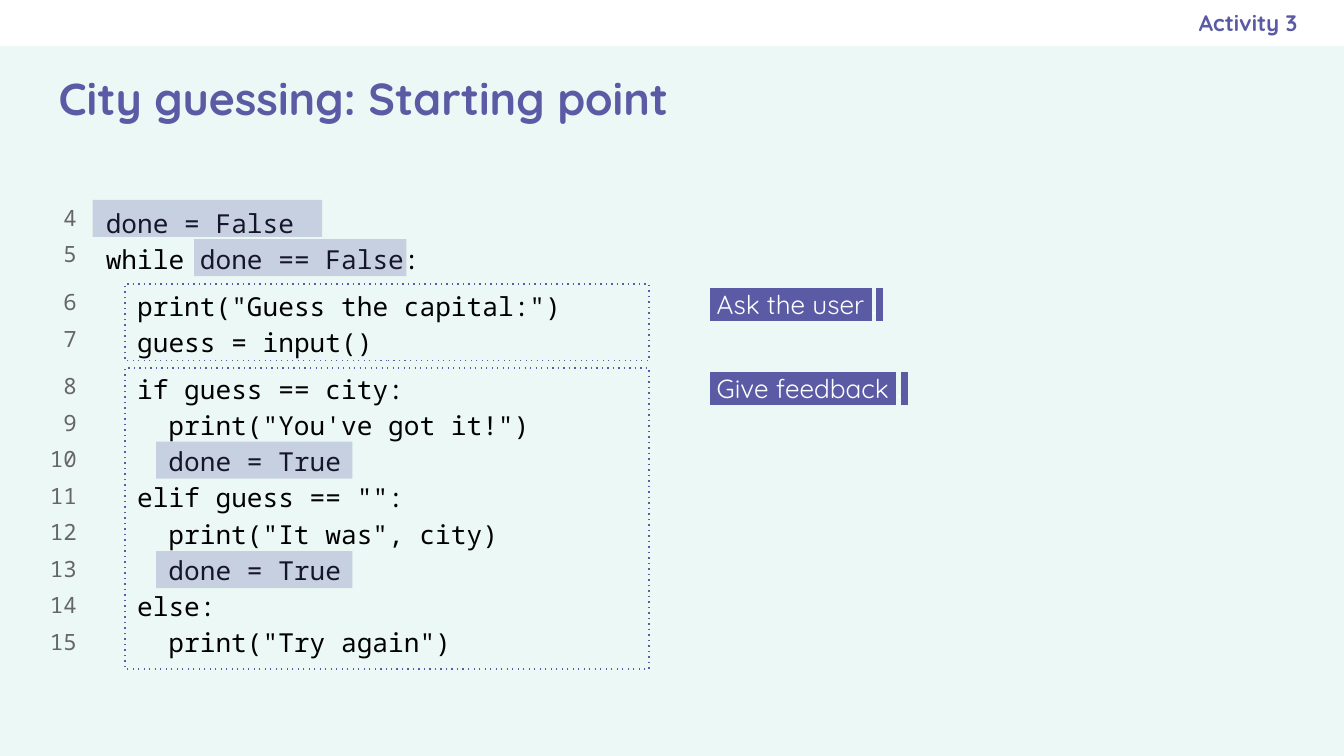
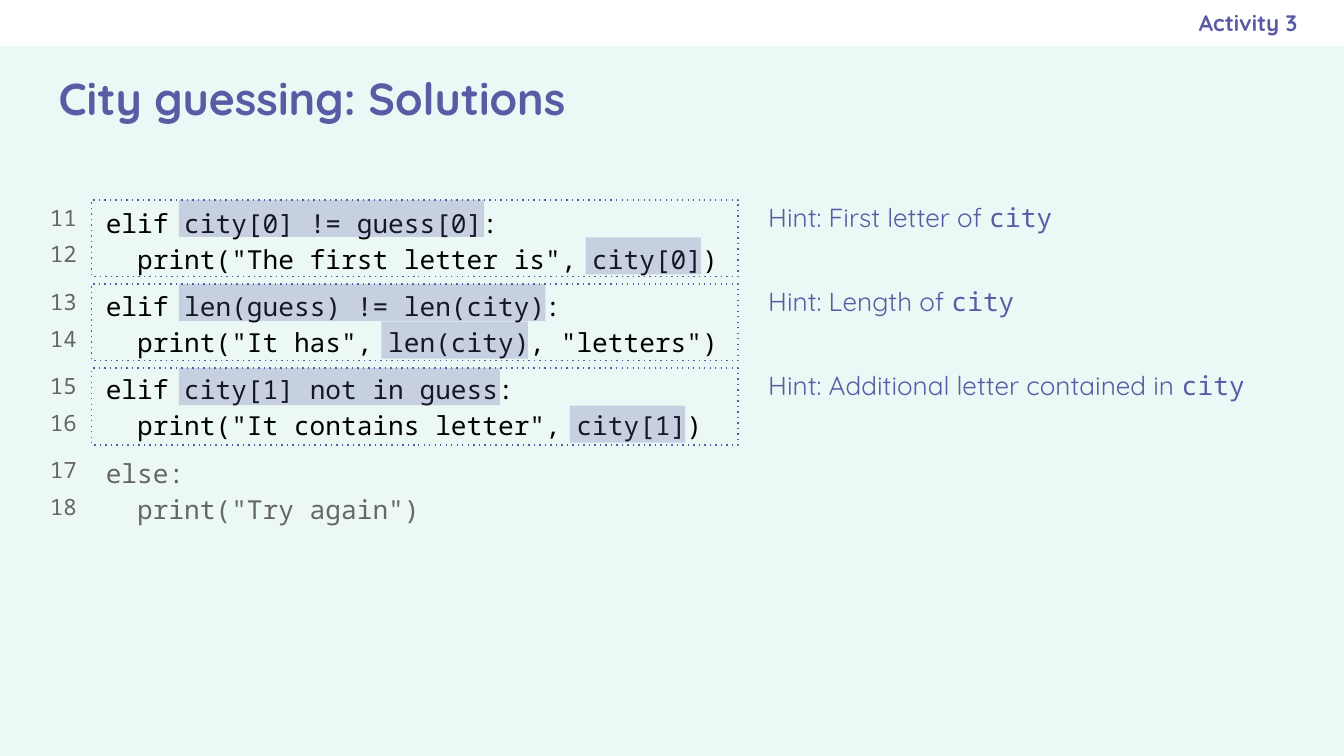
from lxml import etree
from pptx import Presentation
from pptx import util as u
from pptx.dml.color import RGBColor
from pptx.enum import dml, shapes, text
from pptx.oxml.ns import qn

MINT = RGBColor(0xEC, 0xF8, 0xF5)
PLUM = RGBColor(0x5B, 0x5B, 0xA5)
WHITE = RGBColor(0xFF, 0xFF, 0xFF)
BLACK = RGBColor(0, 0, 0)
GREY = RGBColor(0x66, 0x66, 0x66)
SANS, MONO = "Quicksand", "Noto Sans Mono"
TOP, STEP, ROW = 3.78, 1.59, 0.71

START = """done = False
while done == False:

  print("Guess the capital:")
  guess = input()

  if guess == city:
    print("You've got it!")
    done = True
  elif guess == "":
    print("It was", city)
    done = True
  else:
    print("Try again")"""

SOLVED = """elif city[0] != guess[0]:
  print("The first letter is", city[0])

elif len(guess) != len(city):
  print("It has", len(city), "letters")

elif city[1] not in guess:
  print("It contains letter", city[1])

else:
  print("Try again")"""


class Deck:
    """Holds the shared style and the slide being built."""

    def __init__(self):
        self.prs = Presentation()
        self.prs.slide_width, self.prs.slide_height = u.Cm(25.4), u.Cm(14.29)

    def page(self, title):
        self.slide = self.prs.slides.add_slide(self.prs.slide_layouts[6])
        fill = self.slide.background.fill
        fill.solid()
        fill.fore_color.rgb = MINT
        self.rect(0, 0, 25.4, 0.87, WHITE)
        mid = text.MSO_ANCHOR.MIDDLE
        head = self.box(0.86, 0.87, 23.67, 1.95, anchor=mid)
        self.run(self.para(head), title, size=24, bold=True)
        tag = self.box(14.61, 0, 9.91, 0.87, (0.25, 0.25, 0, 0.25), mid)
        line = self.para(tag, alignment=text.PP_ALIGN.RIGHT)
        self.run(line, "Activity 3", size=12, bold=True)

    def rect(self, x, y, w, h, color=None):
        spot = [u.Cm(v) for v in (x, y, w, h)]
        shape = self.slide.shapes.add_shape(shapes.MSO_SHAPE.RECTANGLE, *spot)
        shape.shadow.inherit = False
        shape.line.fill.background()
        if color is None:
            shape.fill.background()
        else:
            shape.fill.solid()
            shape.fill.fore_color.rgb = color
        return shape

    def frame(self, x, y, w, h):
        line = self.rect(x, y, w, h).line
        line.color.rgb = PLUM
        line.width = u.Pt(0.75)
        line.dash_style = dml.MSO_LINE.ROUND_DOT
        line._ln.find(qn("a:prstDash")).set("val", "dot")

    def mark(self, x, y, w):
        shape = self.rect(x, y, w, 0.7, PLUM)
        color = next(shape._element.spPr.iter(qn("a:srgbClr")))
        etree.SubElement(color, qn("a:alpha")).set("val", "25000")

    def box(self, x, y, w, h, inset=(0.25,) * 4, anchor=text.MSO_ANCHOR.TOP):
        spot = [u.Cm(v) for v in (x, y, w, h)]
        body = self.slide.shapes.add_textbox(*spot).text_frame
        body.word_wrap = True
        body.vertical_anchor = anchor
        for side, gap in zip(("left", "top", "right", "bottom"), inset):
            setattr(body, f"margin_{side}", u.Cm(gap))
        return body

    def para(self, body, **style):
        first = body.paragraphs[0]
        line = body.add_paragraph() if first.runs else first
        for key, value in style.items():
            setattr(line, key, value)
        return line

    def run(self, line, words, size=14, name=SANS, color=PLUM, bold=False, back=None):
        run = line.add_run()
        run.text = words
        run.font.color.rgb = color
        for key, value in {"size": u.Pt(size), "name": name, "bold": bold}.items():
            setattr(run.font, key, value)
        if back is not None:
            glow = etree.Element(qn("a:highlight"))
            etree.SubElement(glow, qn("a:srgbClr")).set("val", str(back))
            run._r.rPr.find(qn("a:solidFill")).addnext(glow)

    def code(self, source, first, dim=None):
        body = self.box(1.75, 3.58, 19.89, 9.42)
        nums = self.box(0.89, 3.63, 0.56, 9.42, (0, 0.15, 0, 0.25))
        count = first
        for part, block in enumerate(source.split("\n\n")):
            for row, words in enumerate(block.split("\n")):
                gap = 6 if part and not row else 0
                line = self.para(body, line_spacing=1.15, space_before=u.Pt(gap))
                bare = words.lstrip()
                depth = len(words) - len(bare)
                line._p.get_or_add_pPr().set("marL", str(u.Pt(8.4 * depth)))
                self.run(line, bare, name=MONO, color=GREY if part == dim else BLACK)
                line = self.para(nums, line_spacing=1.15, space_before=u.Pt(gap + 3),
                                 alignment=text.PP_ALIGN.RIGHT)
                self.run(line, str(count), size=12, name=MONO, color=GREY)
                count += 1

    def label(self, y, words):
        body = self.box(13.16, y, 9.09, 1.12, (0.25, 0, 0.15, 0.25))
        line = self.para(body, line_spacing=1.13)
        for part, back in ((f" {words} ", PLUM), (".", None), (" ", PLUM)):
            self.run(line, part, color=WHITE, back=back)

    def hint(self, y, words, w):
        body = self.box(14.27, y, w, 1.12, (0.25, 0.25, 0.15, 0.25))
        line = self.para(body, line_spacing=1.12)
        self.run(line, f"Hint: {words} ")
        self.run(line, "city", name=MONO)


def start(deck):
    deck.page("City guessing: Starting point")
    deck.code(START, 4)
    for part, (high, words) in enumerate(((1.45, "Ask the user"), (5.69, "Give feedback")), 1):
        y = TOP + part * STEP
        deck.frame(2.36, y, 9.91, high)
        deck.label(y, words)
    for x, y, w in ((1.75, TOP, 4.34), (3.67, 4.52, 4.01),
                    (2.95, 8.35, 3.71), (2.95, 10.42, 3.71)):
        deck.mark(x, y, w)


def solve(deck):
    deck.page("City guessing: Solutions")
    deck.code(SOLVED, 11, dim=3)
    hints = (("First letter of", 8.89, 5.77, 11.07, 2.18),
             ("Length of", 8.89, 6.93, 7.21, 2.77),
             ("Additional letter contained in", 10.26, 6.07, 10.77, 2.18))
    for part, (words, wide, test, x, w) in enumerate(hints):
        y = TOP + part * STEP
        deck.frame(1.73, y, 12.22, 1.45)
        deck.hint(y - 0.3, words, wide)
        deck.mark(3.38, y, test)
        deck.mark(x, y + ROW, w)


def main():
    deck = Deck()
    start(deck)
    solve(deck)
    deck.prs.save("out.pptx")


if __name__ == "__main__":
    main()
